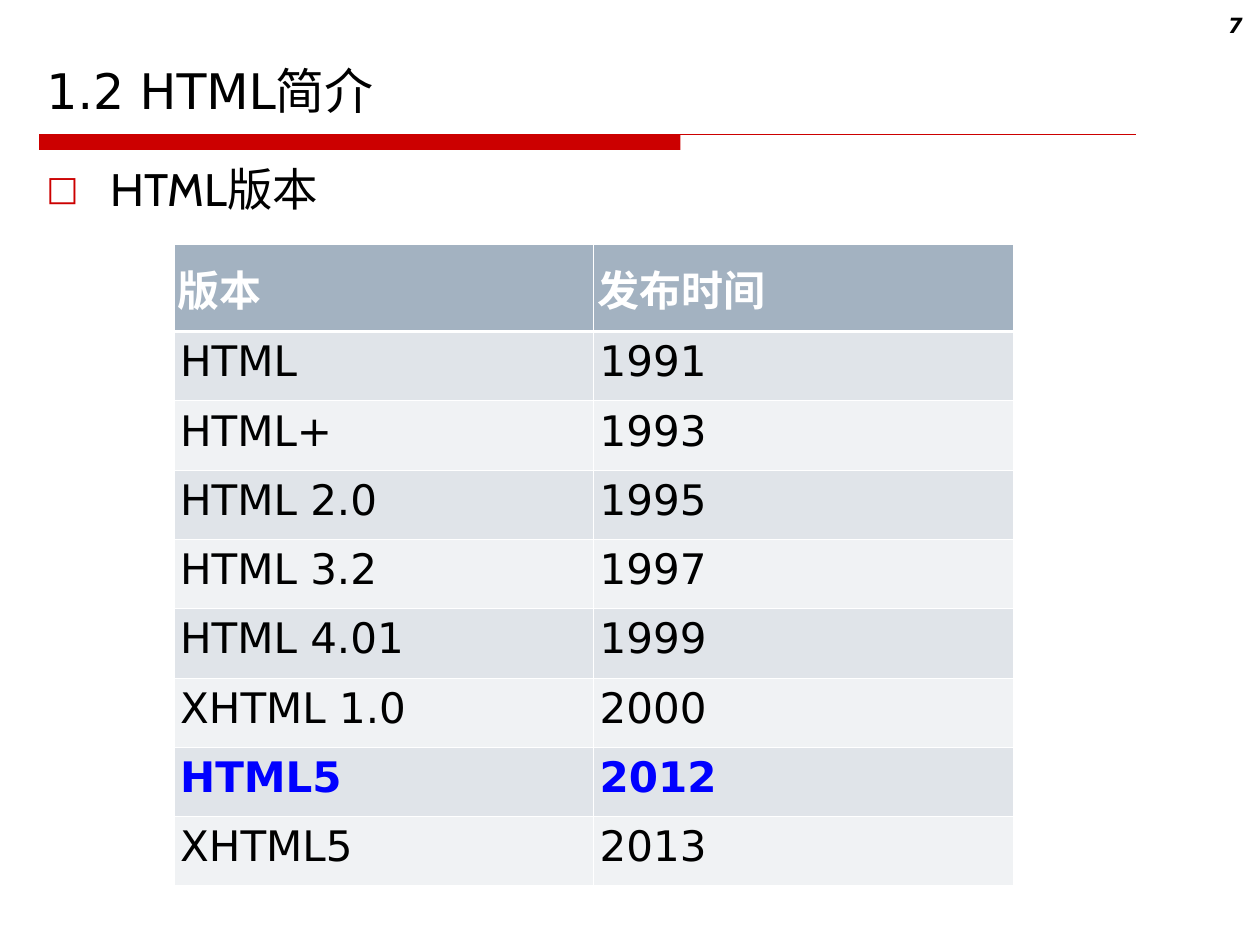
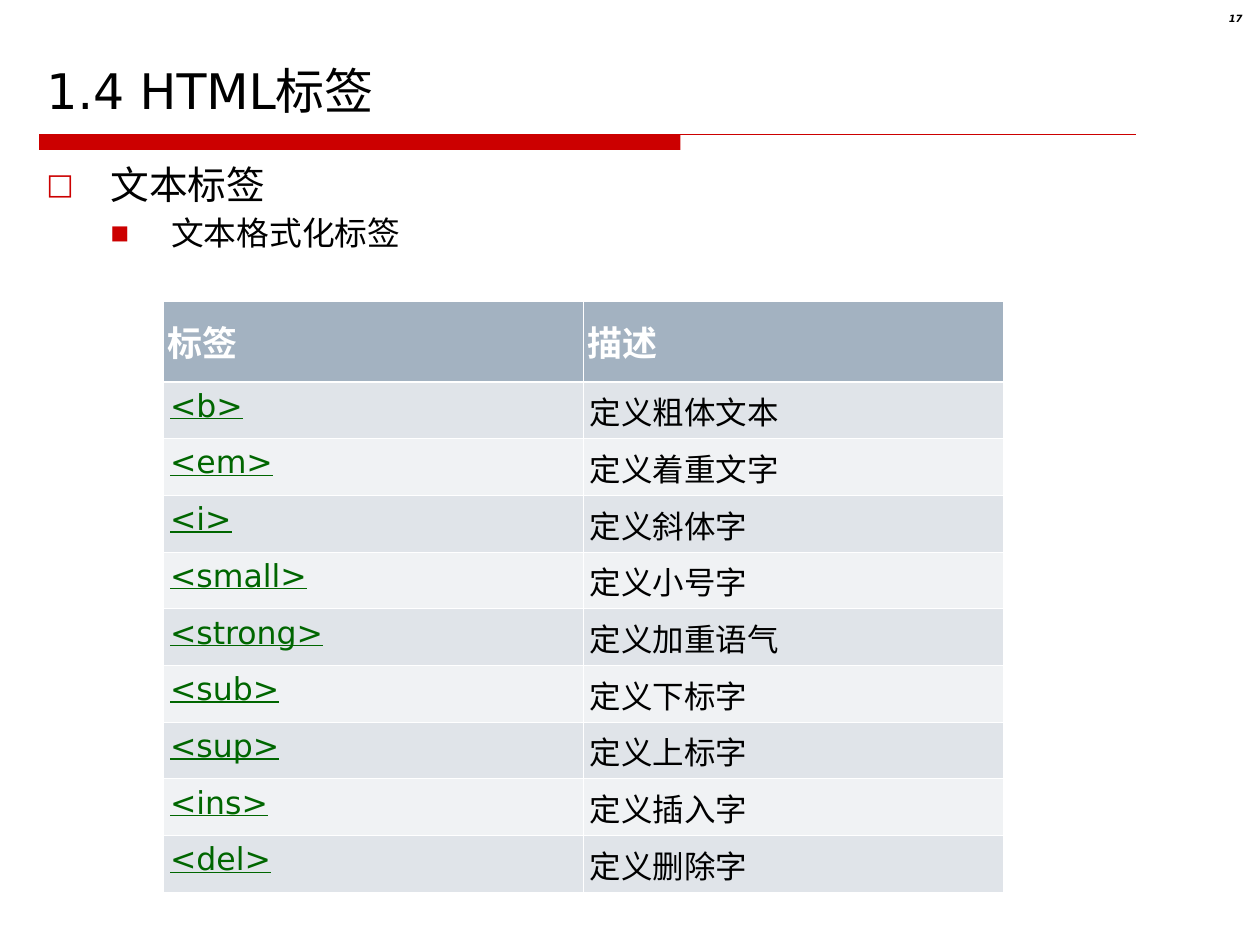
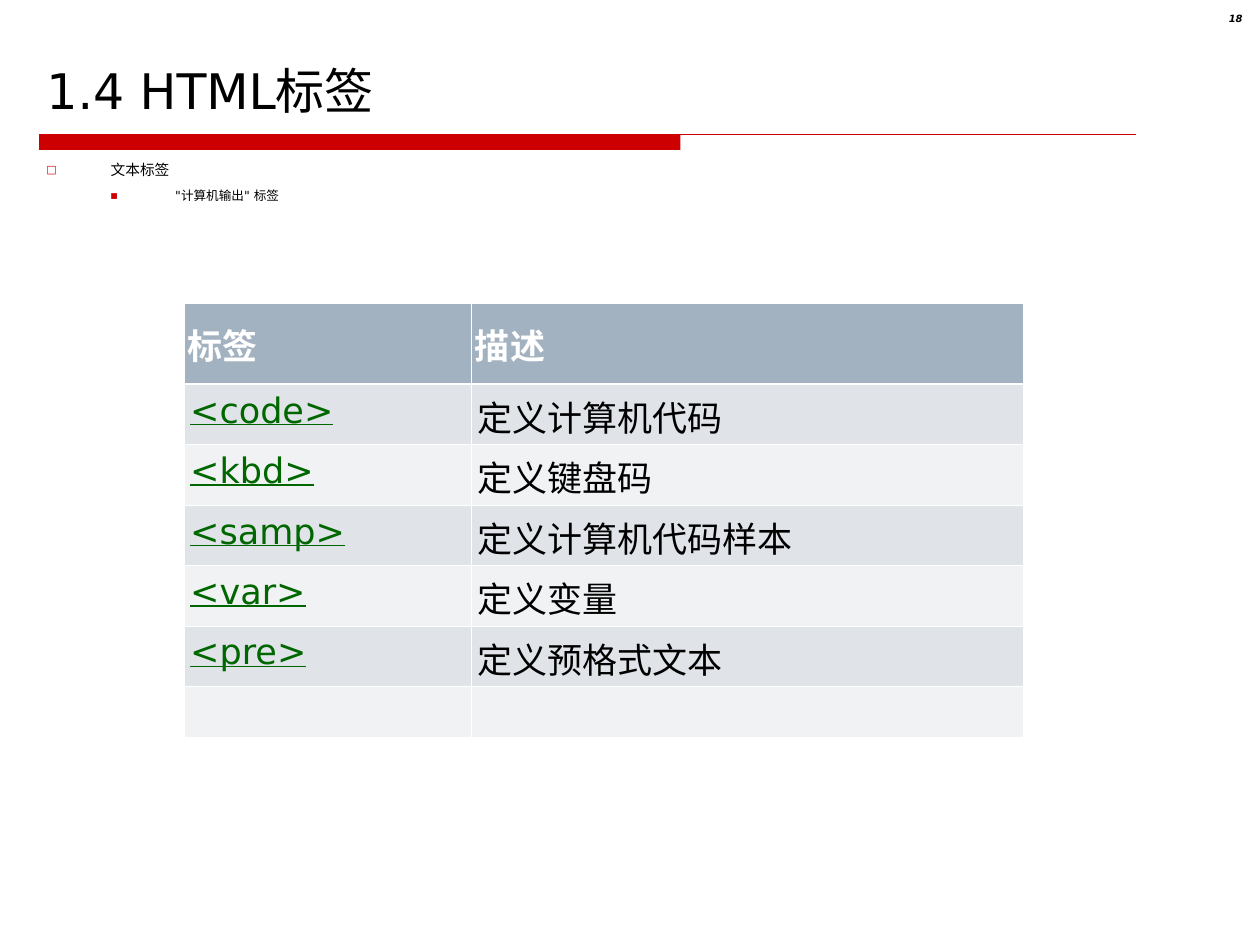
from pptx import Presentation
from pptx.dml.color import RGBColor
from pptx.enum.shapes import MSO_CONNECTOR as Connector, MSO_SHAPE as Shape
from pptx.enum.text import MSO_ANCHOR as Anchor, PP_ALIGN as Align
from pptx.oxml.ns import qn
from pptx.util import Inches, Pt
from lxml.etree import SubElement

SANS, CABIN = "DejaVu Sans", "Cabin"
RED, BLACK, WHITE = "CC0000", "000000", "FFFFFF"
BLUE, GREEN = "0000FF", "006600"
HEADER_FILL, BAND_FILLS = "A3B2C1", ("E0E4E9", "F0F2F4")
THIN, THICK = 0.45, 1.47

LEVELS = [
    {"bullet": "□", "scale": 75, "left": 0.51, "hang": 0.51, "before": 6.5},
    {"bullet": "■", "scale": 60, "left": 0.99, "hang": 0.48, "before": 5.5},
]
PLAIN = {"color": BLACK}
HIGHLIGHT = {"color": BLUE, "bold": True}
TAG = {"color": GREEN, "underline": True}

SLIDES = [
    {
        "title": "1.2 HTML简介",
        "number": ("7", 12),
        "body_height": 6.06,
        "body": [("HTML版本", 26, CABIN, 1)],
        "table": {
            "at": (1.38, 1.94), "columns": (3.33, 3.33),
            "header_height": 0.69, "row_height": 0.55,
            "header_size": 24, "size": 24, "styles": (PLAIN, PLAIN),
            "highlighted": "HTML5",
            "header": ("版本", "发布时间"),
            "rows": [
                ("HTML", "1991"), ("HTML+", "1993"), ("HTML 2.0", "1995"),
                ("HTML 3.2", "1997"), ("HTML 4.01", "1999"),
                ("XHTML 1.0", "2000"), ("HTML5", "2012"), ("XHTML5", "2013"),
            ],
        },
    },
    {
        "title": "1.4 HTML标签",
        "number": ("17", 5.7),
        "body_height": 0.86,
        "body": [("文本标签", 22.1, SANS, 1), ("文本格式化标签", 18.7, CABIN, 0.9)],
        "table": {
            "at": (1.3, 2.39), "columns": (3.33, 3.33),
            "header_height": 0.64, "row_height": 0.45,
            "header_size": 20, "size": 18, "styles": (TAG, PLAIN),
            "header": ("标签", "描述"),
            "rows": [
                ("<b>", "定义粗体文本"), ("<em>", "定义着重文字"),
                ("<i>", "定义斜体字"), ("<small>", "定义小号字"),
                ("<strong>", "定义加重语气"), ("<sub>", "定义下标字"),
                ("<sup>", "定义上标字"), ("<ins>", "定义插入字"),
                ("<del>", "定义删除字"),
            ],
        },
    },
    {
        "title": "1.4 HTML标签",
        "number": ("18", 5.7),
        "body_height": 0.47,
        "body": [("文本标签", 8.4, SANS, 1), (' "计算机输出" 标签', 7.2, SANS, 1)],
        "table": {
            "at": (1.46, 2.41), "columns": (2.28, 4.38),
            "header_height": 0.64, "row_height": 0.48, "empty_height": 0.4,
            "header_size": 20, "size": 20, "styles": (TAG, PLAIN),
            "header": ("标签", "描述"),
            "rows": [
                ("<code>", "定义计算机代码"), ("<kbd>", "定义键盘码"),
                ("<samp>", "定义计算机代码样本"), ("<var>", "定义变量"),
                ("<pre>", "定义预格式文本"), ("", ""),
            ],
        },
    },
]


def rgb(value):
    return RGBColor.from_string(value)


def write(paragraph, text, size, font=SANS, color=BLACK, bold=False, italic=False,
          underline=False, align=Align.LEFT):
    paragraph.alignment = align
    run = paragraph.add_run()
    run.text = text
    run.font.name, run.font.size = font, Pt(size)
    run.font.bold, run.font.italic, run.font.underline = bold, italic, underline
    run.font.color.rgb = rgb(color)


def add_text_frame(slide, left, top, width, height, anchor=Anchor.TOP):
    box = slide.shapes.add_textbox(Inches(left), Inches(top), Inches(width), Inches(height))
    box.text_frame.word_wrap = True
    box.text_frame.vertical_anchor = anchor
    return box.text_frame


def add_title_rule(slide):
    left, top = Inches(0.31), Inches(1.07)
    bar = slide.shapes.add_shape(Shape.RECTANGLE, left, top, Inches(5.09), Inches(0.12))
    bar.shadow.inherit = False
    bar.fill.solid()
    bar.fill.fore_color.rgb = rgb(RED)
    bar.line.fill.background()
    rule = slide.shapes.add_connector(Connector.STRAIGHT, left, top, Inches(9.02), top)
    rule.line.color.rgb = rgb(RED)
    rule.line.width = Pt(0.75)
    SubElement(rule._element.spPr, qn("a:effectLst"))


def set_bullet(paragraph, level):
    properties = paragraph._p.get_or_add_pPr()
    properties.set("marL", str(Inches(level["left"])))
    properties.set("indent", str(-Inches(level["hang"])))
    color = SubElement(properties, qn("a:buClr"))
    SubElement(color, qn("a:srgbClr"), val=RED)
    SubElement(properties, qn("a:buSzPct"), val=str(level["scale"] * 1000))
    SubElement(properties, qn("a:buFont"), typeface=SANS)
    SubElement(properties, qn("a:buChar"), char=level["bullet"])


def add_body(slide, lines, height):
    frame = add_text_frame(slide, 0.27, 1.23, 9.45, height)
    for index, (text, size, font, spacing) in enumerate(lines):
        paragraph = frame.add_paragraph() if index else frame.paragraphs[0]
        write(paragraph, text, size, font=font)
        paragraph.level = index
        paragraph.line_spacing = spacing
        paragraph.space_before = Pt(LEVELS[index]["before"])
        set_bullet(paragraph, LEVELS[index])


def set_borders(cell, top, bottom):
    properties = cell._tc.get_or_add_tcPr()
    widths = {"a:lnL": THIN, "a:lnR": THIN, "a:lnT": top, "a:lnB": bottom}
    for position, (side, width) in enumerate(widths.items()):
        line = SubElement(properties, qn(side), w=str(Pt(width)))
        fill = SubElement(line, qn("a:solidFill"))
        SubElement(fill, qn("a:srgbClr"), val=WHITE)
        properties.insert(position, line)


def fill_cell(cell, row, text, size, style):
    is_header = row == 0
    cell.fill.solid()
    cell.fill.fore_color.rgb = rgb(HEADER_FILL if is_header else BAND_FILLS[(row - 1) % 2])
    cell.margin_left = cell.margin_right = Inches(0.03 if is_header else 0.05)
    cell.margin_top = cell.margin_bottom = Inches(0.05)
    cell.vertical_anchor = Anchor.MIDDLE if is_header else Anchor.TOP
    set_borders(cell, THICK if row == 1 else THIN, THICK if is_header else THIN)
    if text:
        write(cell.text_frame.paragraphs[0], text, size, **style)


def add_grid(slide, spec_table):
    rows = [spec_table["header"], *spec_table["rows"]]
    columns = spec_table["columns"]
    heights = [spec_table["header_height"]] + [
        spec_table["row_height"] if any(row) else spec_table["empty_height"]
        for row in spec_table["rows"]]
    left, top = spec_table["at"]
    table = slide.shapes.add_table(
        len(rows), len(columns), Inches(left), Inches(top),
        Inches(sum(columns)), Inches(sum(heights))).table
    for column, width in zip(table.columns, columns):
        column.width = Inches(width)
    for index, (texts, height) in enumerate(zip(rows, heights)):
        table.rows[index].height = Inches(height)
        for column, text in enumerate(texts):
            if index == 0:
                size, style = spec_table["header_size"], {"color": WHITE, "bold": True}
            else:
                size, style = spec_table["size"], spec_table["styles"][column]
                if texts[0] == spec_table.get("highlighted"):
                    style = HIGHLIGHT
            fill_cell(table.cell(index, column), index, text, size, style)


def build_slide(presentation, content):
    slide = presentation.slides.add_slide(presentation.slide_layouts[6])
    add_title_rule(slide)
    title = add_text_frame(slide, 0.27, 0.13, 9.45, 0.87, anchor=Anchor.BOTTOM)
    write(title.paragraphs[0], content["title"], 28)
    add_body(slide, content["body"], content["body_height"])
    number, size = content["number"]
    corner = add_text_frame(slide, 9.37, 0.05, 0.59, 0.23)
    write(corner.paragraphs[0], number, size, bold=True, italic=True, align=Align.RIGHT)
    add_grid(slide, content["table"])


def main():
    presentation = Presentation()
    presentation.slide_width, presentation.slide_height = Inches(10), Inches(7.5)
    for content in SLIDES:
        build_slide(presentation, content)
    presentation.save("out.pptx")


if __name__ == "__main__":
    main()
